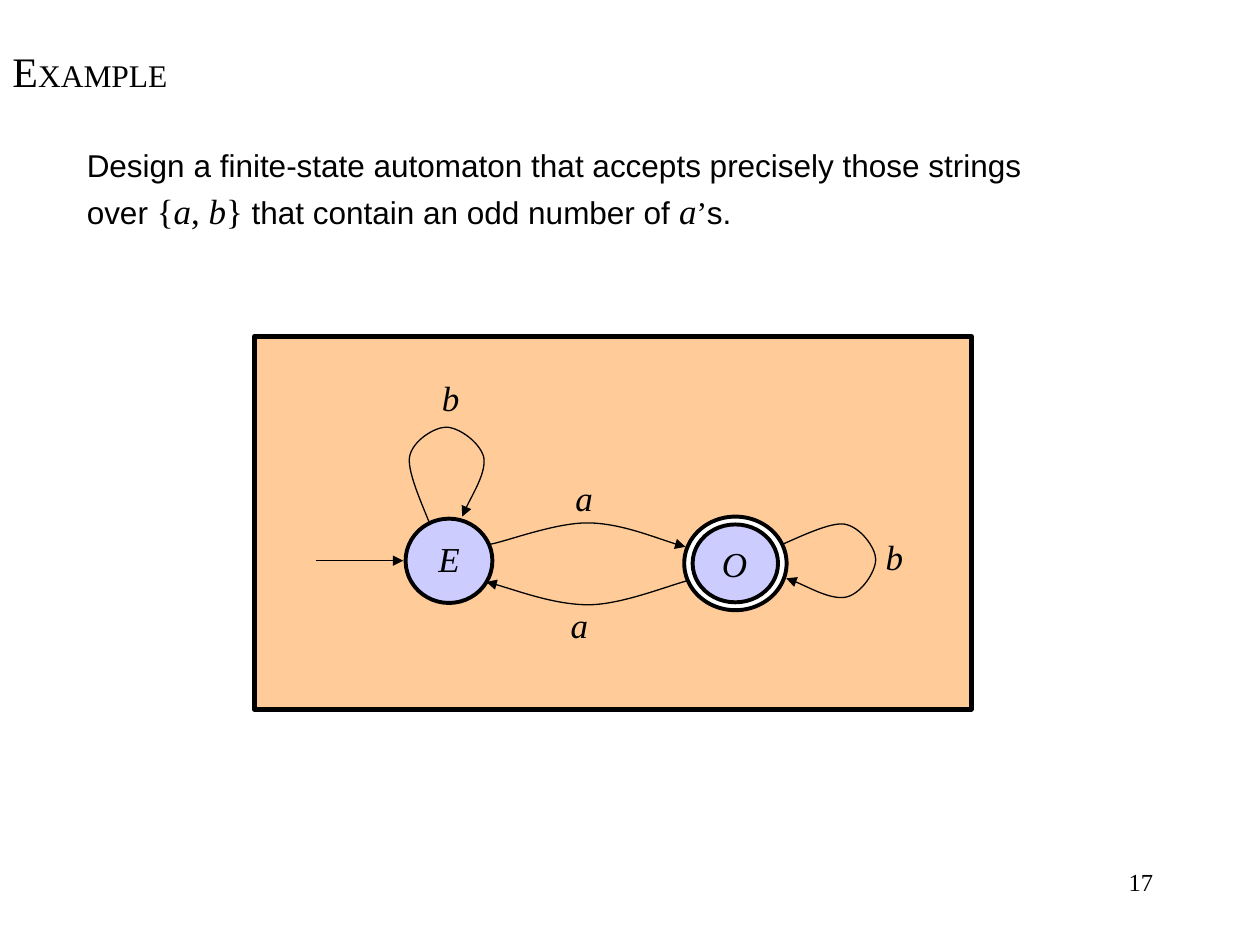
from typing import NamedTuple

from lxml.etree import SubElement
from pptx import Presentation
from pptx.dml.color import RGBColor as RGB
from pptx.enum.shapes import MSO_CONNECTOR as CONN, MSO_SHAPE as SHAPE
from pptx.enum.text import PP_ALIGN as ALIGN
from pptx.oxml.ns import qn
from pptx.util import Pt

COLORS = {"ink": "000000", "panel": "FFCC99", "state": "CCCCFF", "ring": "FFFFFF"}
SERIF, SANS = "Times New Roman", "Arial"


class Run(NamedTuple):
    text: str
    size: float = 18
    font: str = SANS
    italic: bool = False


class Solid(NamedTuple):
    kind: SHAPE
    box: tuple[float, float, float, float]
    fill: str
    line: float = 2.25


class Label(NamedTuple):
    text: str
    left: float
    top: float
    width: float = 24.5


def rgb(name: str) -> RGB:
    return RGB.from_string(COLORS[name])


def add_text(slide, box, paragraphs: list[list[Run]], *, align=ALIGN.LEFT,
             wrap=True, spacing=None, gap=0) -> None:
    tf = slide.shapes.add_textbox(*map(Pt, box)).text_frame
    tf.word_wrap = wrap
    for i, runs in enumerate(paragraphs):
        p = tf.add_paragraph() if i else tf.paragraphs[0]
        p.alignment = align
        if spacing:
            p.line_spacing = spacing
        if i:
            p.space_before = Pt(gap)
        for run in runs:
            r = p.add_run()
            r.text = run.text
            r.font.size, r.font.name, r.font.italic = Pt(run.size), run.font, run.italic
            r.font.color.rgb = rgb("ink")


def set_line(sp, width: float, arrow: bool = False) -> None:
    sp.line.color.rgb = rgb("ink")
    sp.line.width = Pt(width)
    if arrow:
        SubElement(sp.line._get_or_add_ln(), qn("a:tailEnd"), type="triangle")


def add_solid(slide, solid: Solid) -> None:
    sp = slide.shapes.add_shape(solid.kind, *map(Pt, solid.box))
    sp.shadow.inherit = False
    sp.fill.solid()
    sp.fill.fore_color.rgb = rgb(solid.fill)
    set_line(sp, solid.line)


def add_curve(slide, points: list[tuple[float, float]]) -> None:
    """Draw a start point followed by Bezier triples: control, control, end."""
    start, *rest = [(Pt(x), Pt(y)) for x, y in points]
    builder = slide.shapes.build_freeform(*start)
    builder.add_line_segments(rest, close=False)
    sp = builder.convert_to_shape()
    sp.shadow.inherit = False
    sp.fill.background()
    set_line(sp, 0.75, arrow=True)
    # Turn each three line segments into one cubic segment
    path = sp._element.find(".//" + qn("a:path"))
    segments = path.findall(qn("a:lnTo"))
    for i in range(0, len(segments), 3):
        cubic = SubElement(path, qn("a:cubicBezTo"))
        for segment in segments[i:i + 3]:
            cubic.append(segment[0])
            path.remove(segment)


def add_arrow(slide, x1: float, y1: float, x2: float, y2: float) -> None:
    sp = slide.shapes.add_connector(CONN.STRAIGHT, *map(Pt, (x1, y1, x2, y2)))
    set_line(sp, 0.75, arrow=True)
    SubElement(sp._element.spPr, qn("a:effectLst"))


TASK = [
    [Run("Design a finite-state automaton that accepts precisely those strings")],
    [Run("over "), Run("{", 20, SERIF), Run("a", 20, SERIF, True),
     Run(", ", 20, SERIF), Run("b", 20, SERIF, True), Run("}", 20, SERIF),
     Run(" that contain an odd number of "), Run("a", 20, SERIF, True),
     Run("’", 18, SERIF), Run("s.")],
]

PANEL = Solid(SHAPE.RECTANGLE, (145.5, 192.3, 409.5, 213), "panel", 3)
STATES = [
    Solid(SHAPE.OVAL, (391, 295.2, 58.5, 53.5), "ring"),
    Solid(SHAPE.OVAL, (395.8, 299.7, 48.8, 44.5), "state"),
    Solid(SHAPE.OVAL, (231.8, 296.4, 49.6, 48.2), "state"),
]
TRANSITIONS = [
    # O to E
    [(395.3, 331.2), (383, 334.1), (355.7, 345.6), (336.2, 345.6),
     (316.8, 345.6), (288, 334.8), (277.9, 332.6)],
    # E to O
    [(280.1, 311), (288.7, 309.6), (316.8, 298.8), (335.5, 298.8),
     (354.2, 298.8), (380.2, 309.6), (391.7, 312.5)],
    # O to itself
    [(443.5, 312.5), (450, 310.3), (473, 298.1), (482.4, 299.5),
     (491.8, 301), (500.4, 313.2), (500.4, 319.7),
     (500.4, 326.9), (491.8, 339.8), (483.1, 341.3),
     (474.5, 342.7), (456.5, 332.6), (449.3, 330.5)],
    # E to itself
    [(246.2, 301), (244.1, 294.5), (232.6, 270.7), (234, 261.4),
     (235.4, 252), (248.4, 244.1), (254.9, 244.1),
     (262.1, 244.1), (274.3, 252.7), (276.5, 261.4),
     (277.9, 270), (266.4, 288.7), (264.2, 295.2)],
]
LABELS = [
    Label("b", 245.5, 211.7), Label("b", 499, 302.4),
    Label("a", 321.8, 268.6), Label("a", 319, 341.3),
    Label("O", 405.4, 306.7, 28.8), Label("E", 243.4, 303.8, 26.6),
]


def main() -> None:
    prs = Presentation()
    prs.slide_width, prs.slide_height = Pt(720), Pt(540)
    slide = prs.slides.add_slide(prs.slide_layouts[6])

    # Page number, title and task
    add_text(slide, (516.2, 491.8, 149.8, 36), [[Run("17", 14, SERIF)]], align=ALIGN.RIGHT)
    add_text(slide, (0, 22.3, 116.6, 36),
             [[Run("E", 24, SERIF), Run("XAMPLE", 18, SERIF)]], wrap=False)
    add_text(slide, (42.5, 86, 622.8, 51), TASK, spacing=0.7, gap=10)

    # Automaton: panel, transitions, states, labels
    add_solid(slide, PANEL)
    for points in TRANSITIONS:
        add_curve(slide, points)
    add_arrow(slide, 180.7, 320.4, 230.4, 320.4)
    for state in STATES:
        add_solid(slide, state)
    for label in LABELS:
        add_text(slide, (label.left, label.top, label.width, 31),
                 [[Run(label.text, 20, SERIF, True)]], wrap=False)

    prs.save("out.pptx")


if __name__ == "__main__":
    main()
